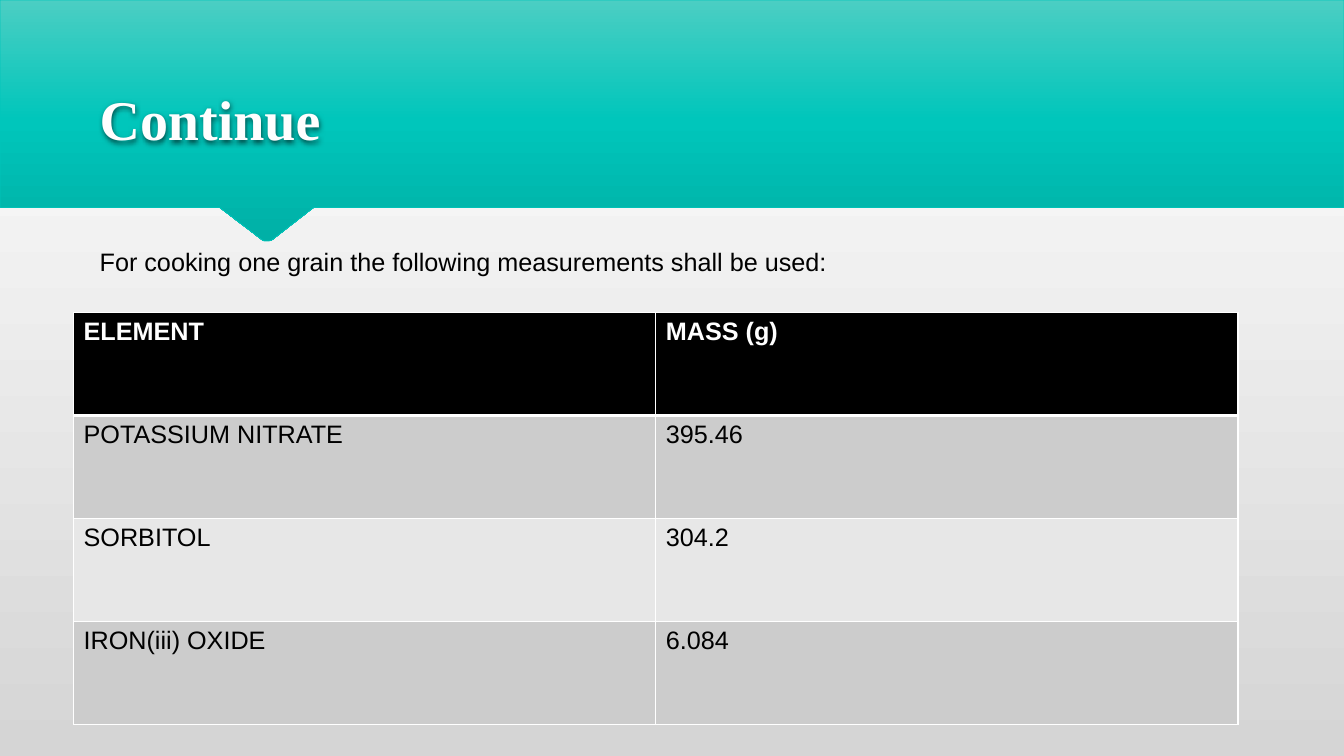
from lxml.etree import SubElement
from pptx import Presentation
from pptx.dml.color import RGBColor
from pptx.enum.text import MSO_ANCHOR
from pptx.oxml.ns import qn
from pptx.util import Inches, Pt

COLORS = {
    "white": "FFFFFF", "title": "FEFEFE", "black": "000000",
    "page_end": "D5D5D5", "band_light": "4BCEC3", "band": "00C6BB",
    "band_dark": "00B0A6", "row_dark": "CCCCCC", "row_light": "E7E7E7",
}
BANNER_POINTS = [
    (13.33, 0), (0, 0), (0, 2.06), (2.18, 2.06), (2.6, 2.38), (2.62, 2.39),
    (2.67, 2.39), (2.7, 2.38), (3.11, 2.06), (13.33, 2.06),
]
MEASUREMENTS = [
    ("ELEMENT", "MASS (g)"),
    ("POTASSIUM NITRATE", "395.46"),
    ("SORBITOL", "304.2"),
    ("IRON(iii) OXIDE", "6.084"),
]


def rgb(name):
    return RGBColor.from_string(COLORS[name])


def add_color(parent, name):
    return SubElement(parent, qn("a:srgbClr"), val=COLORS[name])


def set_gradient(fill, element, names):
    """Fill from top to bottom with evenly spaced colours."""
    fill.gradient()
    fill.gradient_angle = 270
    stops = next(element.iter(qn("a:gsLst")))
    for stop in list(stops):
        stops.remove(stop)
    for index, name in enumerate(names):
        position = 100000 * index // (len(names) - 1)
        add_color(SubElement(stops, qn("a:gs"), pos=str(position)), name)


def add_banner(page):
    points = [(Inches(x), Inches(y)) for x, y in BANNER_POINTS]
    builder = page.shapes.build_freeform(*points[0])
    builder.add_line_segments(points[1:], close=True)
    banner = builder.convert_to_shape()
    banner.shadow.inherit = False
    set_gradient(banner.fill, banner.element, ["band_light", "band", "band_dark"])
    banner.line.color.rgb = rgb("band")
    banner.line.width = Pt(0.5)


def write(frame, text, size, font, color, bold=False):
    span = frame.paragraphs[0].add_run()
    span.text = text
    span.font.size = Pt(size)
    span.font.name = font
    span.font.bold = bold
    span.font.color.rgb = rgb(color)


def add_text(page, left, top, width, height, anchor, *style):
    box = page.shapes.add_textbox(
        Inches(left), Inches(top), Inches(width), Inches(height))
    box.text_frame.word_wrap = True
    box.text_frame.vertical_anchor = anchor
    write(box.text_frame, *style)
    return box


def add_soft_shadow(box):
    effects = SubElement(box.element.spPr, qn("a:effectLst"))
    shadow = SubElement(
        effects, qn("a:outerShdw"), blurRad=str(Pt(4)), dist=str(Pt(1)),
        dir="5400000", algn="t", rotWithShape="0")
    SubElement(add_color(shadow, "black"), qn("a:alpha"), val="60000")


def set_borders(cell, bottom_width):
    properties = cell._tc.get_or_add_tcPr()
    for side in ("lnL", "lnR", "lnT", "lnB"):
        width = bottom_width if side == "lnB" else 1
        border = SubElement(properties, qn(f"a:{side}"), w=str(Pt(width)))
        add_color(SubElement(border, qn("a:solidFill")), "white")


def add_measurements(page):
    table = page.shapes.add_table(
        len(MEASUREMENTS), 2, Inches(0.73), Inches(3.1),
        Inches(11.55), Inches(4.09)).table
    for row, texts in enumerate(MEASUREMENTS):
        header = row == 0
        fill = "black" if header else ("row_dark" if row % 2 else "row_light")
        for column, text in enumerate(texts):
            cell = table.cell(row, column)
            set_borders(cell, 3 if header else 1)
            cell.fill.solid()
            cell.fill.fore_color.rgb = rgb(fill)
            write(cell.text_frame, text, 18, "Arial",
                  "white" if header else "black", header)
            if row == 1:
                top = cell._tc.tcPr.find(qn("a:lnT"))
                top.set("w", str(Pt(3)))


def main():
    deck = Presentation()
    deck.slide_width, deck.slide_height = Inches(13.33), Inches(7.5)
    page = deck.slides.add_slide(deck.slide_layouts[6])
    set_gradient(page.background.fill, page.element, ["white", "page_end"])
    add_banner(page)
    title = add_text(page, 0.89, 0.49, 11.56, 1.06, MSO_ANCHOR.BOTTOM,
                     "Continue", 40, "Times New Roman", "title", True)
    add_soft_shadow(title)
    add_measurements(page)
    add_text(page, 0.89, 2.39, 9.29, 0.4, MSO_ANCHOR.TOP,
             "For cooking one grain the following measurements shall be used:",
             18, "Arial", "black")
    deck.save("out.pptx")


if __name__ == "__main__":
    main()
